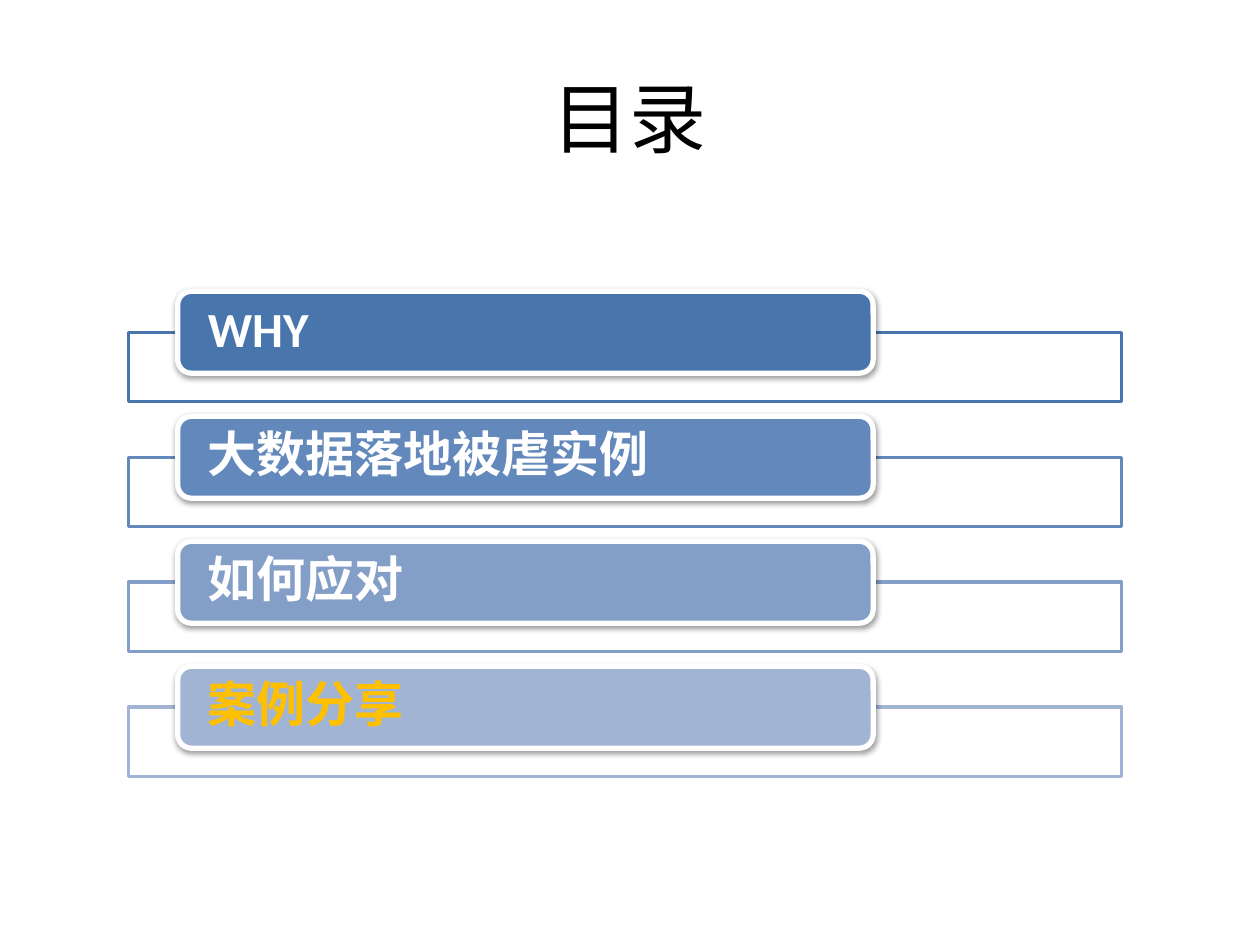
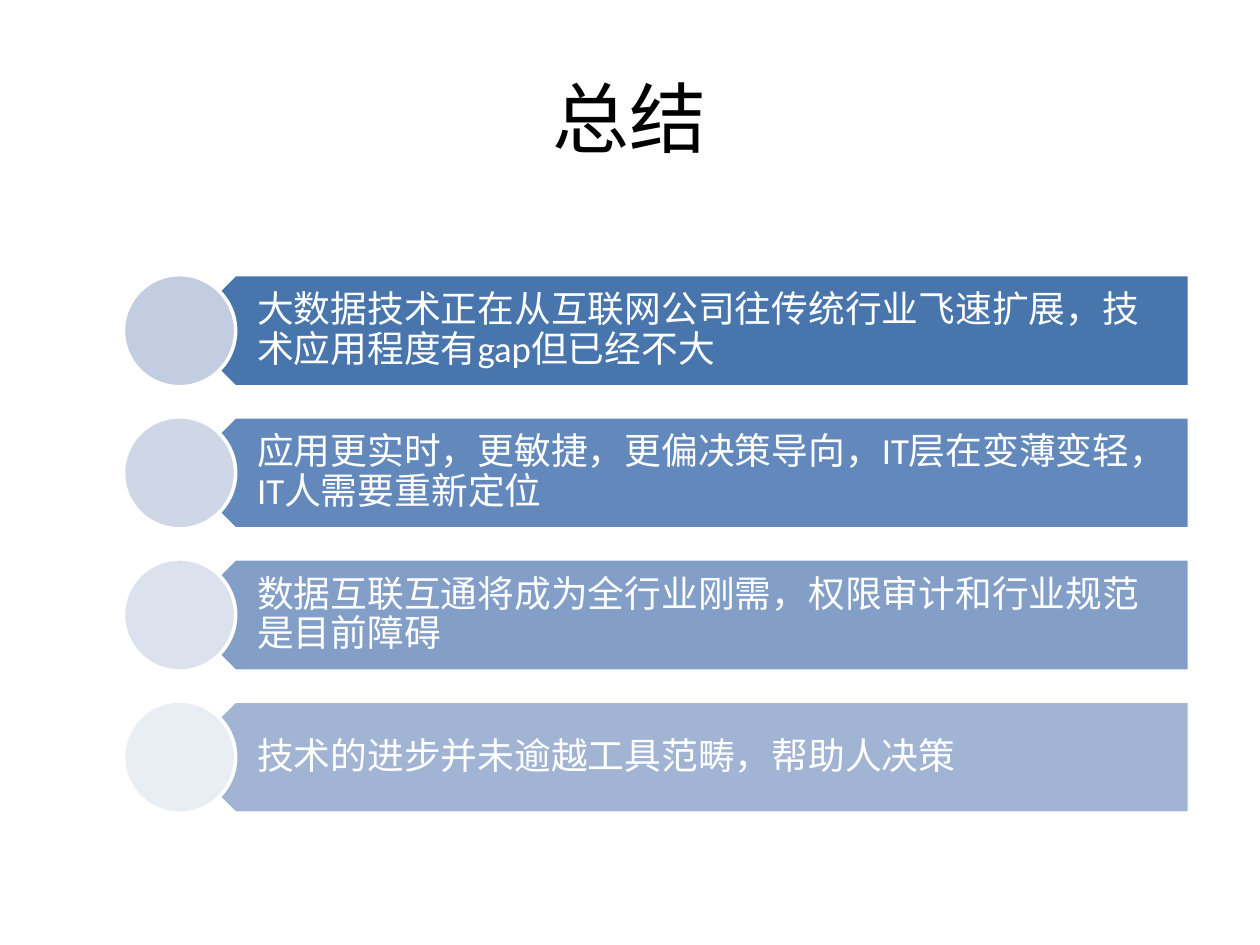
from lxml import etree
from pptx import Presentation
from pptx.dml.color import RGBColor
from pptx.enum.shapes import MSO_SHAPE
from pptx.enum.text import MSO_ANCHOR, PP_ALIGN
from pptx.oxml import parse_xml
from pptx.oxml.ns import nsdecls, qn
from pptx.util import Inches, Pt

RECTANGLE = MSO_SHAPE.RECTANGLE
ROUNDED = MSO_SHAPE.ROUNDED_RECTANGLE
PENTAGON = MSO_SHAPE.PENTAGON
OVAL = MSO_SHAPE.OVAL
MIDDLE = MSO_ANCHOR.MIDDLE
LEFT, CENTER = PP_ALIGN.LEFT, PP_ALIGN.CENTER

FONT = "Calibri"
COLUMNS, ROWS = 100, 75
COLORS = {
    "black": "000000", "white": "FFFFFF", "gold": "FFC000",
    "band1": "4875AC", "band2": "6389BC", "band3": "839EC7", "band4": "A2B4D4",
    "dot1": "C2CDE1", "dot2": "CFD7E7", "dot3": "DCE2ED", "dot4": "E9EDF4",
}
TITLE_FORMAT = {"size": Pt(44)}
AGENDA_FORMAT = {"size": Pt(28), "bold": True}
SUMMARY_FORMAT = {"size": Pt(21)}

AGENDA = [("WHY", "white"), ("大数据落地被虐实例", "white"),
          ("如何应对", "white"), ("案例分享", "gold")]
SUMMARY = [
    "大数据技术正在从互联网公司往传统行业飞速扩展，技术应用程度有gap但已经不大",
    "应用更实时，更敏捷，更偏决策导向，IT层在变薄变轻，IT人需要重新定位",
    "数据互联互通将成为全行业刚需，权限审计和行业规范是目前障碍",
    "技术的进步并未逾越工具范畴，帮助人决策",
]


class SlideBuilder:
    """Holds the deck, its style and the current slide."""

    def __init__(self):
        self.deck = Presentation()
        self.deck.slide_width, self.deck.slide_height = Inches(10), Inches(7.5)
        self.page = None

    def place(self, left, top, width, height):
        """Turn grid columns and rows into lengths."""
        column = self.deck.slide_width / COLUMNS
        row = self.deck.slide_height / ROWS
        return [round(share) for share in
                (left * column, top * row, width * column, height * row)]

    def color(self, name):
        return RGBColor.from_string(COLORS[name])

    def start_page(self, title):
        self.page = self.deck.slides.add_slide(self.deck.slide_layouts[6])
        self.text(title, (5, 3, 90, 12.5), "black", TITLE_FORMAT,
                  (0.1, 0.05, 0.1, 0.05), CENTER, 1)

    def shape(self, kind, area, fill, line, width=2, rotation=0):
        shape = self.page.shapes.add_shape(kind, *self.place(*area))
        shape.rotation = rotation
        shape.shadow.inherit = False
        shape.fill.solid()
        shape.fill.fore_color.rgb = self.color(fill)
        shape.line.color.rgb = self.color(line)
        shape.line.width = Pt(width)
        return shape

    def text(self, words, area, color, font_format, insets, align=LEFT, spacing=0.9):
        box = self.page.shapes.add_textbox(*self.place(*area))
        frame = box.text_frame
        frame.word_wrap = True
        frame.vertical_anchor = MIDDLE
        for side, inset in zip(("left", "top", "right", "bottom"), insets):
            setattr(frame, f"margin_{side}", Inches(inset))
        para = frame.paragraphs[0]
        para.alignment, para.line_spacing = align, spacing
        span = para.add_run()
        span.text = words
        for name, value in {"name": FONT, **font_format}.items():
            setattr(span.font, name, value)
        span.font.color.rgb = self.color(color)

    def soften(self, shape):
        """Make the fill ten percent transparent."""
        fill = shape.fill.fore_color._xFill.find(qn("a:srgbClr"))
        etree.SubElement(fill, qn("a:alpha")).set("val", "90000")

    def drop_shadow(self, shape):
        effects = shape._element.spPr.find(qn("a:effectLst"))
        effects.append(parse_xml(
            f'<a:outerShdw {nsdecls("a")} blurRad="{Pt(3.1)}" dist="{Pt(1.6)}" '
            f'dir="5400000" rotWithShape="0"><a:srgbClr val="{COLORS["black"]}">'
            '<a:alpha val="38000"/></a:srgbClr></a:outerShdw>'))


def build_agenda(builder):
    builder.start_page("目录")
    pitch = 9.92
    for index, (words, color) in enumerate(AGENDA):
        band = f"band{index + 1}"
        top = 23.12 + index * pitch
        # Outline frame behind the label
        frame = builder.shape(RECTANGLE, (10.2, top + 3.25, 78.8, 5.5), "white", band)
        builder.soften(frame)
        # Raised label
        label = builder.shape(ROUNDED, (14.1, top, 55.2, 6.5), band, "white", 3)
        builder.drop_shadow(label)
        builder.text(words, (14.4, top + 0.32, 54.5, 5.8), color,
                     AGENDA_FORMAT, (0.21, 0, 0.21, 0))


def build_summary(builder):
    builder.start_page("总结")
    pitch, height = 11.28, 8.9
    for index, words in enumerate(SUMMARY):
        top = 21.8 + index * pitch
        # Arrow band, its text, and the dot over its tip
        builder.shape(PENTAGON, (14.2, top, 80.2, height), f"band{index + 1}",
                      "white", rotation=180)
        builder.text(words, (16.5, top, 77.9, height), "white",
                     SUMMARY_FORMAT, (0.39, 0.09, 0.16, 0.09))
        builder.shape(OVAL, (9.8, top, height, height), f"dot{index + 1}", "white")


def main():
    builder = SlideBuilder()
    build_agenda(builder)
    build_summary(builder)
    builder.deck.save("out.pptx")


if __name__ == "__main__":
    main()
